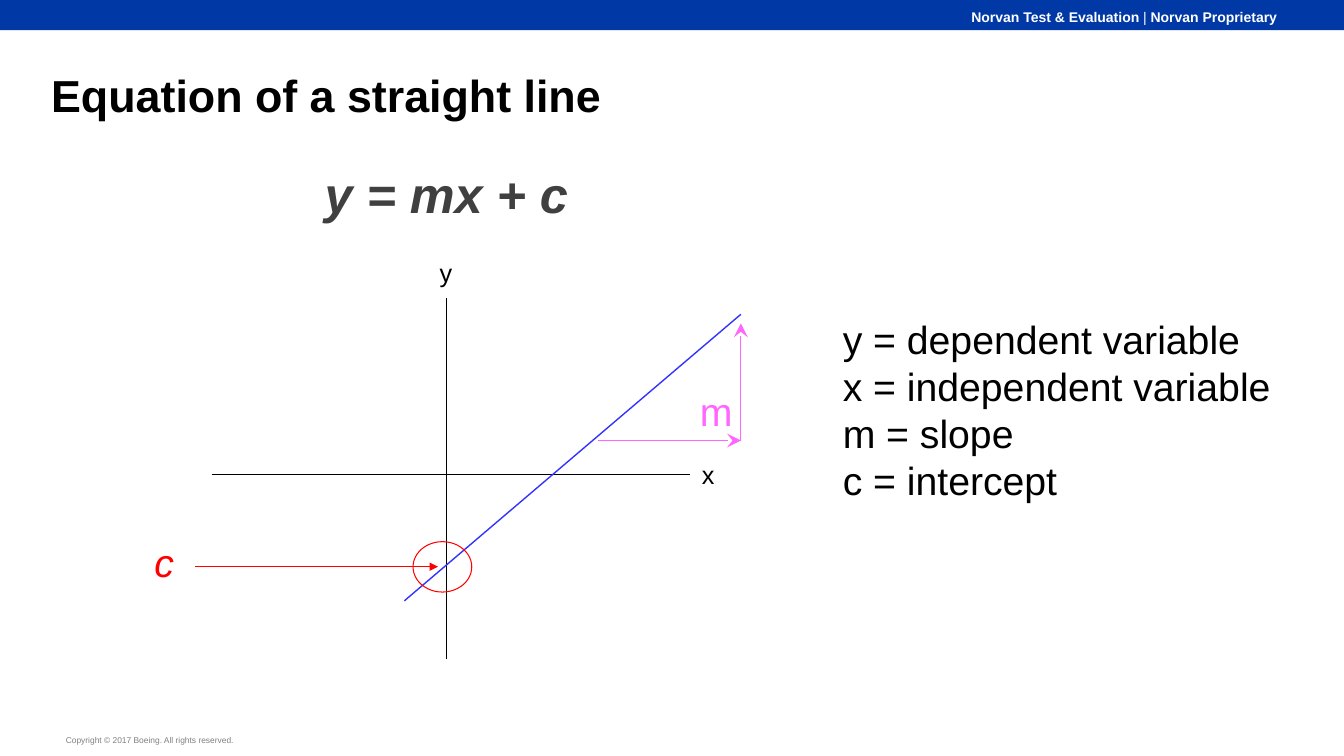
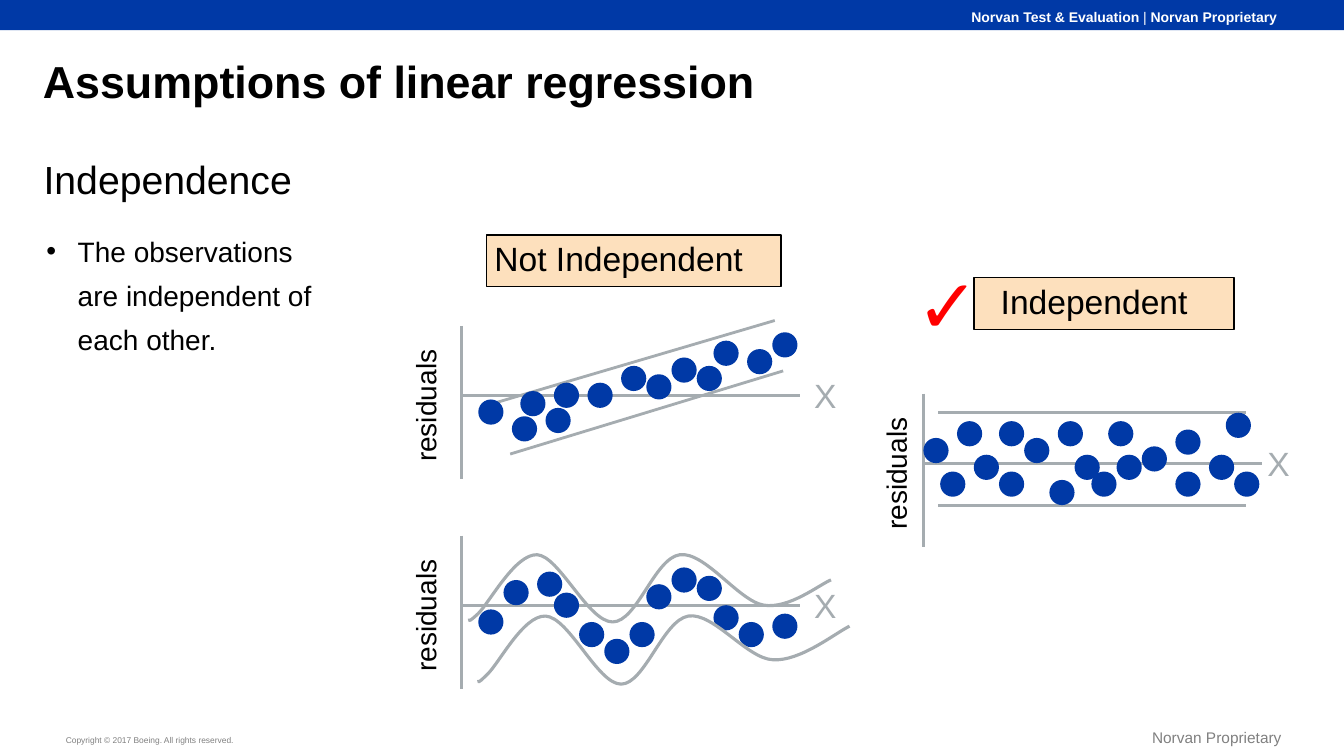
import pptx
import pptx.util
import pptx.dml.color
import pptx.enum.shapes
import pptx.enum.text
import pptx.oxml.ns
from lxml import etree

Cm = pptx.util.Cm
Pt = pptx.util.Pt
ALIGN = pptx.enum.text.PP_ALIGN
ANCHOR = pptx.enum.text.MSO_ANCHOR
SHAPE = pptx.enum.shapes.MSO_SHAPE
qn = pptx.oxml.ns.qn

COLOURS = {
    "blue": "0039A6", "white": "FFFFFF", "black": "000000", "grey": "808080",
    "formula": "404040", "fit": "3333FF", "red": "FF0000", "pink": "FF66FF",
    "axis": "A5ACB0", "peach": "FDE0BD",
}
FONT = "Arial"
WIDTH, HEIGHT = 33.87, 19.05
STEP = 2.54 / 12  # residual plots sit on a grid of this many cm
DOT = 3 * STEP


def colour(name):
    return pptx.dml.color.RGBColor.from_string(COLOURS[name])


def write(frame, paragraphs, size=18, ink="black", bold=False, italic=False,
          align=ALIGN.LEFT, anchor=ANCHOR.TOP, insets=(0.25, 0.13, 0.25, 0.13),
          spacing=None, bullet_indent=None):
    """Fill a text frame; a paragraph is a string or a list of (text, bold) runs."""
    frame.word_wrap = True
    frame.vertical_anchor = anchor
    (frame.margin_left, frame.margin_top,
     frame.margin_right, frame.margin_bottom) = map(Cm, insets)
    for index, content in enumerate(paragraphs):
        paragraph = frame.add_paragraph() if index else frame.paragraphs[0]
        paragraph.alignment = align
        if spacing:
            paragraph.line_spacing = spacing
        if bullet_indent:
            properties = paragraph._p.get_or_add_pPr()
            properties.set("marL", str(Cm(bullet_indent)))
            properties.set("indent", str(-Cm(bullet_indent)))
            etree.SubElement(properties, qn("a:buFont")).set("typeface", FONT)
            etree.SubElement(properties, qn("a:buChar")).set("char", "•")
        runs = [(content, bold)] if isinstance(content, str) else content
        for words, is_bold in runs:
            run = paragraph.add_run()
            run.text = words
            run.font.name = FONT
            run.font.size = Pt(size)
            run.font.bold = is_bold
            run.font.italic = italic
            run.font.color.rgb = colour(ink)


class Deck:
    """Holds the presentation, its shared style and the current slide."""

    def __init__(self):
        self.presentation = pptx.Presentation()
        self.presentation.slide_width = Cm(WIDTH)
        self.presentation.slide_height = Cm(HEIGHT)
        self.slide = None

    def new_slide(self, title, left, top):
        self.slide = self.presentation.slides.add_slide(self.presentation.slide_layouts[6])
        self.shape(SHAPE.RECTANGLE, 0, 0, WIDTH, 0.76, fill="blue")
        self.text(1.63, 18.51, 7.65, 0.3, "Copyright © 2017 Boeing. All rights reserved.",
                  size=6, ink="grey", anchor=ANCHOR.BOTTOM, insets=(0.03,) * 4)
        self.text(13.59, 0.22, 18.59, 0.43,
                  [("Norvan Test & Evaluation ", True), ("| ", False),
                   ("Norvan Proprietary", True)],
                  size=10, ink="white", align=ALIGN.RIGHT, insets=(0,) * 4)
        self.text(left, top, 32.2, 1.63, title, size=32, bold=True)

    def text(self, left, top, width, height, *paragraphs, rotation=0, **style):
        box = self.slide.shapes.add_textbox(Cm(left), Cm(top), Cm(width), Cm(height))
        box.rotation = rotation
        write(box.text_frame, paragraphs, **style)

    def shape(self, kind, left, top, width, height, fill=None, line=None, weight=0.75):
        shape = self.slide.shapes.add_shape(kind, Cm(left), Cm(top), Cm(width), Cm(height))
        self.paint(shape, fill, line, weight)
        return shape

    def paint(self, shape, fill, line, weight):
        shape.shadow.inherit = False
        if fill:
            shape.fill.solid()
            shape.fill.fore_color.rgb = colour(fill)
        else:
            shape.fill.background()
        if line:
            shape.line.color.rgb = colour(line)
            shape.line.width = Pt(weight)
        else:
            shape.line.fill.background()

    def line(self, start, end, ink="black", weight=0.75, arrow=None, arrow_size="med"):
        connector = self.slide.shapes.add_connector(
            pptx.enum.shapes.MSO_CONNECTOR.STRAIGHT, *map(Cm, (*start, *end)))
        connector.line.color.rgb = colour(ink)
        connector.line.width = Pt(weight)
        if arrow:
            tip = etree.SubElement(connector.line._get_or_add_ln(), qn("a:tailEnd"))
            for key, value in (("type", arrow), ("w", arrow_size), ("len", arrow_size)):
                tip.set(key, value)
        etree.SubElement(connector._element.spPr, qn("a:effectLst"))

    def curve(self, points, ink, weight):
        """Draw cubic curves through a start and then triples of two controls and an end."""
        outline = [(Cm(x), Cm(y)) for x, y in points]
        builder = self.slide.shapes.build_freeform(*outline[0])
        builder.add_line_segments(outline[1:], close=False)
        wave = builder.convert_to_shape()
        segments = list(wave._element.iter(qn("a:lnTo")))
        for index in range(0, len(segments), 3):
            parent = segments[index].getparent()
            cubic = etree.SubElement(parent, qn("a:cubicBezTo"))
            for segment in segments[index:index + 3]:
                cubic.append(segment[0])
                parent.remove(segment)
        self.paint(wave, None, ink, weight)

    def label(self, left, top, width, words, indent):
        box = self.shape(SHAPE.RECTANGLE, left, top, width, 1.3,
                         fill="peach", line="black", weight=1)
        write(box.text_frame, [words], size=24, anchor=ANCHOR.MIDDLE,
              insets=(indent, 0, 0, 0.12))

    def residual_plot(self, left, zero, dots, bands=(), waves=(), label_inset=0):
        """Draw axes, limits and dots; dots give left edge and centre height in steps."""
        def place(point):
            return left + point[0] * STEP, zero + point[1] * STEP

        self.line((left, zero - 1.75), (left, zero + 2.11), "axis", 2)
        self.line((left, zero), (left + 8.53, zero), "axis", 2)
        for start, end in bands:
            self.line(place(start), place(end), "axis", 2)
        for x, y in map(place, dots):
            self.shape(SHAPE.OVAL, x, y - DOT / 2, DOT, DOT, fill="blue")
        for points in waves:
            self.curve(map(place, points), "axis", 2.25)
        self.text(left - 2.74 + label_inset, zero - 0.43, 3.63, 1.09, "residuals",
                  size=20, rotation=270)
        self.text(left + 8.64 - label_inset, zero - 0.63, 1.37, 1.27, "X",
                  size=24, ink="axis")


TREND_DOTS = [(2, 2), (6, 4), (7, 1), (10, 3), (11, 0), (15, 0), (19, -2), (22, -1),
              (25, -3), (28, -2), (30, -5), (34, -4), (37, -6)]
TREND_BANDS = [((3.7, 1), (37.3, -8.9)), ((5.8, 7), (38.3, -2.9))]
WAVE_DOTS = [(2, 2), (5, -1.5), (9, -2.5), (11, 0), (14, 3.5), (17, 5.5), (20, 3.5),
             (22, -1), (25, -3), (28, -2), (30, 1.5), (33, 3.5), (37, 2.5)]
WAVES = [
    [(0.8, 1.8),
     (1.1, 1.6), (0.6, 2.3), (2, 1),
     (3.4, -0.4), (6.4, -6.1), (9, -6),
     (11.6, -5.9), (15.1, 2), (18, 2),
     (20.9, 2), (23, -5.6), (26, -6),
     (29, -6.4), (33, -0.5), (36, 0),
     (39, 0.5), (42.7, -2.5), (44, -3)],
    [(1.9, 9.1),
     (2.2, 8.9), (1.7, 9.6), (3, 8.3),
     (4.4, 7.1), (7.3, 1.2), (10, 1.3),
     (12.8, 1.4), (16.2, 9.4), (19, 9.4),
     (21.8, 9.4), (24, 1.8), (27, 1.3),
     (30, 0.8), (34, 6.4), (37.1, 6.5),
     (40.3, 6.7), (44.4, 3.4), (46.2, 2.5)],
]
EVEN_DOTS = [(0, -1.5), (2, 2.5), (4, -3.5), (6, 0.5), (9, -3.5), (9, 2.5), (12, -1.5),
             (15, 3.5), (16, -3.5), (18, 0.5), (20, 2.5), (22, -3.5), (23, 0.5),
             (26, -0.5), (30, -2.5), (30, 2.5), (34, 0.5), (36, -4.5), (37, 2.5)]
EVEN_BANDS = [((1.8, y), (38.4, y)) for y in (-6, 5)]


def straight_line_slide(deck):
    deck.new_slide("Equation of a straight line", 1.04, 1.57)
    deck.text(7.93, 4.15, 7.2, 1.45, "y = mx + c", size=36, ink="formula",
              bold=True, italic=True, spacing=0.9)

    deck.line((11.25, 7.52), (11.25, 16.61))
    deck.line((5.33, 11.96), (17.4, 11.96))
    deck.text(10.83, 6.35, 0.84, 1.02, "y")
    deck.text(17.44, 11.45, 0.84, 1.02, "x")
    deck.line((10.19, 15.14), (18.67, 7.92), "fit", 1)

    deck.shape(SHAPE.OVAL, 10.41, 13.65, 1.48, 1.27, line="red")
    deck.text(3.64, 13.44, 1.9, 1.45, "c", size=28, ink="red", italic=True)
    deck.line((4.91, 14.28), (11.04, 14.28), "red", arrow="triangle")

    slope_corner = (18.67, 11.1)
    for start, end in (((15.06, 11.1), slope_corner), (slope_corner, (18.67, 8.15))):
        deck.line(start, end, "pink", arrow="stealth", arrow_size="lg")
    deck.text(17.39, 9.63, 2.54, 1.45, "m", size=28, ink="pink")

    deck.text(20.99, 7.82, 11.8, 5.05, "y = dependent variable",
              "x = independent variable", "m = slope", "c = intercept", size=28)


def independence_slide(deck):
    deck.new_slide("Assumptions of linear regression", 0.83, 1.22)
    deck.text(25.73, 18.16, 6.6, 0.69, "Norvan Proprietary", size=11, ink="grey",
              align=ALIGN.RIGHT, anchor=ANCHOR.BOTTOM, insets=(0.03,) * 4)
    deck.text(0.85, 3.79, 7, 1.45, "Independence", size=28)
    deck.text(0.92, 5.51, 7.39, 3.3, "The observations are independent of each other.",
              size=20, spacing=Pt(31.5), bullet_indent=0.79)

    deck.label(12.26, 5.92, 7.42, "Not Independent", 0.2)
    deck.residual_plot(11.63, 9.96, TREND_DOTS, bands=TREND_BANDS)
    deck.residual_plot(11.63, 15.25, WAVE_DOTS, waves=WAVES)

    deck.label(24.55, 7, 6.55, "Independent", 0.67)
    deck.text(22.86, 6.38, 2.54, 2.54, "✓", size=54, ink="red")
    deck.residual_plot(23.27, 11.67, EVEN_DOTS, bands=EVEN_BANDS, label_inset=0.22)


def main():
    deck = Deck()
    straight_line_slide(deck)
    independence_slide(deck)
    deck.presentation.save("out.pptx")


if __name__ == "__main__":
    main()
